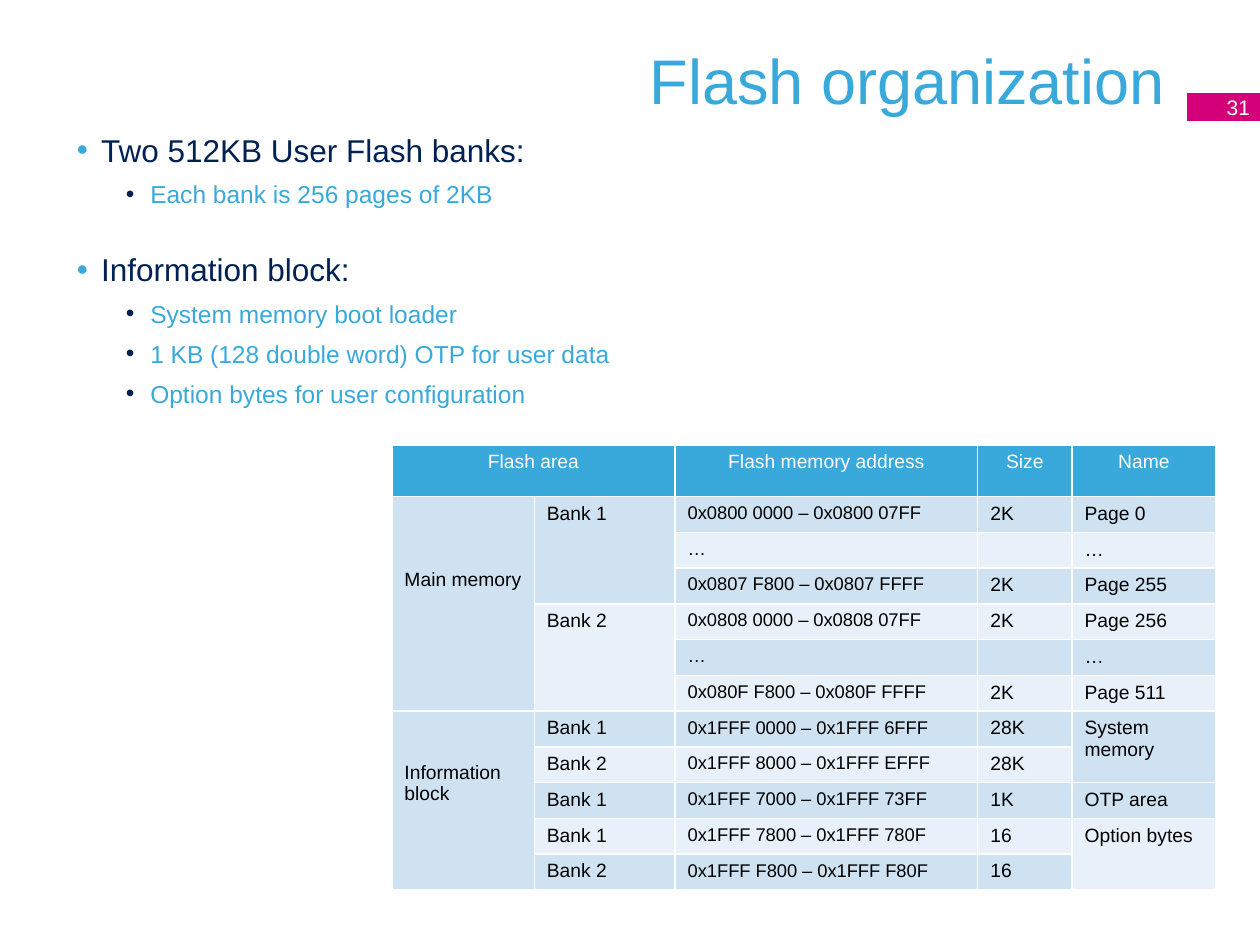
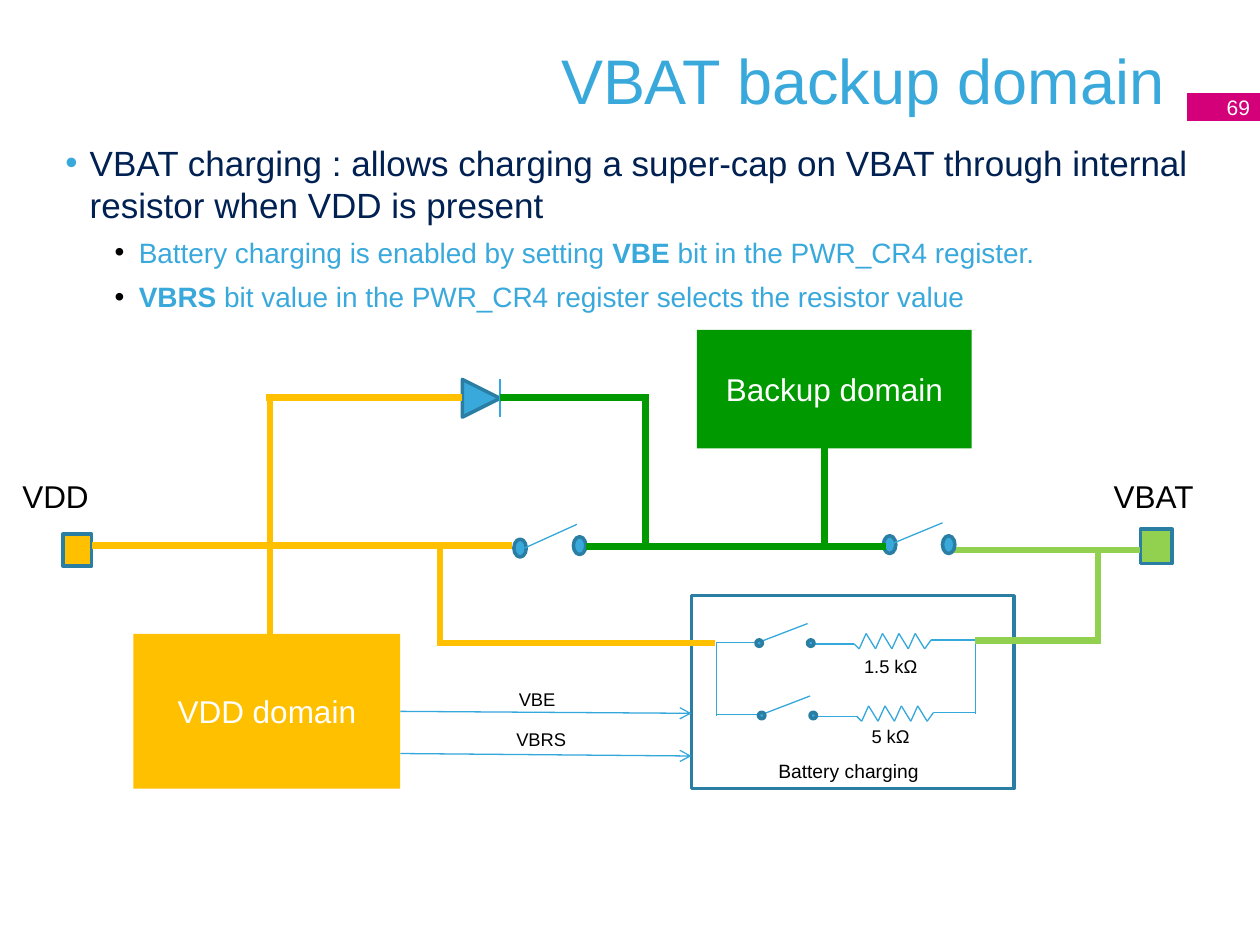
from itertools import pairwise

from pptx import Presentation
from pptx.dml.color import RGBColor
from pptx.enum.shapes import MSO_CONNECTOR, MSO_SHAPE as SHAPE
from pptx.enum.text import MSO_ANCHOR as ANCHOR, PP_ALIGN as ALIGN
from pptx.oxml.ns import qn
from pptx.util import Cm, Pt
from lxml.etree import SubElement

SKY = RGBColor(0x39, 0xA9, 0xDC)
THIN_BLUE = RGBColor(0x34, 0xA7, 0xDB)
STEEL = RGBColor(0x2A, 0x7D, 0xA3)
NAVY = RGBColor(0x00, 0x21, 0x52)
MAGENTA = RGBColor(0xD4, 0x00, 0x7A)
YELLOW = RGBColor(0xFF, 0xC0, 0x00)
GREEN = RGBColor(0x00, 0x99, 0x00)
LIME = RGBColor(0x92, 0xD0, 0x50)
BAND_DARK = RGBColor(0xCE, 0xE2, 0xF2)
BAND_LIGHT = RGBColor(0xE8, 0xF1, 0xF9)
BLACK = RGBColor(0, 0, 0)
WHITE = RGBColor(0xFF, 0xFF, 0xFF)

FONT = "Arial"
TITLE_ONLY = 5
WIRE = 0.13

FLASH_MAP = [
    ["Flash area", "", "Flash memory address", "Size", "Name"],
    ["Main memory", "Bank 1", "0x0800 0000 – 0x0800 07FF", "2K", "Page 0"],
    ["", "", "…", "", "…"],
    ["", "", "0x0807 F800 – 0x0807 FFFF", "2K", "Page 255"],
    ["", "Bank 2", "0x0808 0000 – 0x0808 07FF", "2K", "Page 256"],
    ["", "", "…", "", "…"],
    ["", "", "0x080F F800 – 0x080F FFFF", "2K", "Page 511"],
    ["Information\nblock", "Bank 1", "0x1FFF 0000 – 0x1FFF 6FFF", "28K", "System\nmemory"],
    ["", "Bank 2", "0x1FFF 8000 – 0x1FFF EFFF", "28K", ""],
    ["", "Bank 1", "0x1FFF 7000 – 0x1FFF 73FF", "1K", "OTP area"],
    ["", "Bank 1", "0x1FFF 7800 – 0x1FFF 780F", "16", "Option bytes"],
    ["", "Bank 2", "0x1FFF F800 – 0x1FFF F80F", "16", ""],
]
# first row, first column, last row, last column
FLASH_SPANS = [(0, 0, 0, 1), (1, 0, 6, 0), (1, 1, 3, 1), (4, 1, 6, 1),
               (7, 0, 11, 0), (7, 4, 8, 4), (10, 4, 11, 4)]
ADDRESS_COLUMN = 2


def set_font(paragraph, size, color, align=None):
    font = paragraph.font
    font.name, font.size, font.bold = FONT, Pt(size), False
    font.color.rgb = color
    paragraph.alignment = align


def add_color(parent, tag, color):
    SubElement(SubElement(parent, qn(tag)), qn("a:srgbClr")).set("val", str(color))


class Deck:
    def __init__(self):
        self.prs = Presentation()
        self.prs.slide_width, self.prs.slide_height = Cm(25.4), Cm(19.05)
        self.slide = None

    def new_slide(self, title, number):
        self.slide = self.prs.slides.add_slide(self.prs.slide_layouts[TITLE_ONLY])
        heading = self.slide.shapes.title
        heading.left, heading.top, heading.width, heading.height = map(Cm, (1.3, 0, 22.43, 3.18))
        heading.text_frame.text = title
        heading.text_frame.vertical_anchor = ANCHOR.MIDDLE
        set_font(heading.text_frame.paragraphs[0], 36, SKY, ALIGN.RIGHT)
        self.shape(23.93, 1.88, 1.52, 0.56, MAGENTA, text=number, size=12, align=ALIGN.RIGHT)

    def shape(self, x, y, width, height, fill=None, outline=None, kind=SHAPE.RECTANGLE,
              text="", size=18, align=ALIGN.CENTER):
        item = self.slide.shapes.add_shape(kind, *map(Cm, (x, y, width, height)))
        item.shadow.inherit = False
        if fill is None:
            item.fill.background()
        else:
            item.fill.solid()
            item.fill.fore_color.rgb = fill
        if outline is None:
            item.line.fill.background()
        else:
            item.line.color.rgb = outline
            item.line.width = Pt(2)
        if text:
            item.text_frame.text = text
            item.text_frame.vertical_anchor = ANCHOR.MIDDLE
            set_font(item.text_frame.paragraphs[0], size, WHITE, align)
        return item

    def wires(self, color, *bars):
        for bar in bars:
            self.shape(*bar, color, kind=SHAPE.FLOWCHART_PROCESS)

    def label(self, text, x, y, width, height, size=10.5):
        frame = self.slide.shapes.add_textbox(*map(Cm, (x, y, width, height))).text_frame
        frame.word_wrap = False
        frame.text = text
        set_font(frame.paragraphs[0], size, BLACK)

    def line(self, start, end, arrow=False):
        link = self.slide.shapes.add_connector(MSO_CONNECTOR.STRAIGHT, *map(Cm, start + end))
        link.line.color.rgb = THIN_BLUE
        link.line.width = Pt(0.75)
        properties = link._element.spPr
        if arrow:
            SubElement(properties.find(qn("a:ln")), qn("a:tailEnd")).set("type", "arrow")
        SubElement(properties, qn("a:effectLst"))
        return link

    def polyline(self, *points):
        for start, end in pairwise(points):
            self.line(start, end)

    def bullets(self, x, y, width, height, items, sizes, sub_bullet):
        """Items are (level, text); text between asterisks is bold."""
        frame = self.slide.shapes.add_textbox(*map(Cm, (x, y, width, height))).text_frame
        frame.word_wrap = True
        for index, (level, text) in enumerate(items):
            paragraph = frame.add_paragraph() if index else frame.paragraphs[0]
            paragraph.level = level
            paragraph.space_before = Pt(18 if index and level == 0 else 0)
            paragraph.space_after = Pt(6)
            properties = paragraph._p.get_or_add_pPr()
            properties.set("marL", str(Cm((0.49, 1.48)[level])))
            properties.set("indent", str(Cm(-0.49)))
            add_color(properties, "a:buClr", (SKY, sub_bullet)[level])
            SubElement(properties, qn("a:buFont")).set("typeface", FONT)
            SubElement(properties, qn("a:buChar")).set("char", "•")
            set_font(paragraph, sizes[level], (NAVY, SKY)[level])
            for part, words in enumerate(text.split("*")):
                if words:
                    run = paragraph.add_run()
                    run.text = words
                    if part % 2:
                        run.font.bold = True

    def cell(self, cell, text, fill, size, color, align):
        properties = cell._tc.get_or_add_tcPr()
        for side in "LRTB":
            border = SubElement(properties, qn(f"a:ln{side}"), w=str(Pt(1)))
            add_color(border, "a:solidFill", WHITE)
        cell.fill.solid()
        cell.fill.fore_color.rgb = fill
        cell.text = text
        for paragraph in cell.text_frame.paragraphs:
            set_font(paragraph, size, color, align)
            if not text:
                paragraph._p.get_or_add_endParaRPr().set("sz", str(int(size * 100)))

    def table(self, x, y, column_widths, row_heights, rows, spans):
        size = Cm(sum(column_widths)), Cm(sum(row_heights))
        grid = self.slide.shapes.add_table(len(rows), len(column_widths), Cm(x), Cm(y), *size).table
        grid.first_row = grid.horz_banding = False
        for column, width in zip(grid.columns, column_widths):
            column.width = Cm(width)
        for row, height in zip(grid.rows, row_heights):
            row.height = Cm(height)
        for r, row in enumerate(rows):
            for c, text in enumerate(row):
                if r == 0:
                    style = SKY, 11, WHITE, ALIGN.CENTER
                else:
                    band = BAND_DARK if r % 2 else BAND_LIGHT
                    style = band, 10.5 if c == ADDRESS_COLUMN else 11, BLACK, ALIGN.LEFT
                self.cell(grid.cell(r, c), text, *style)
        for top, left, bottom, right in spans:
            grid.cell(top, left).merge(grid.cell(bottom, right))
        return grid


def flash_slide(deck):
    deck.new_slide("Flash organization", "31")
    deck.bullets(1.3, 2.51, 22.86, 5.89, [
        (0, "Two 512KB User Flash banks:"),
        (1, "Each bank is 256 pages of 2KB"),
        (0, "Information block:"),
        (1, "System memory boot loader"),
        (1, "1 KB (128 double word) OTP for user data"),
        (1, "Option bytes for user configuration"),
    ], sizes=(18, 14), sub_bullet=NAVY)
    areas = deck.table(7.9, 8.97, [2.87, 2.84, 6.1, 1.9, 2.9],
                       [1.04, 0.72, 0.69, 0.72] + [0.69] * 8, FLASH_MAP, FLASH_SPANS)
    areas.cell(1, 0).margin_top = Cm(1.47)
    areas.cell(7, 0).margin_top = Cm(1.02)


def charging_branch(deck, dx, dy):
    """Switch and resistor in series between the two rails of the charger."""
    def at(x, y):
        return x + dx, y + dy

    deck.line((14.45, 12.95 + dy), at(15.29, 12.95))
    deck.line(at(15.29, 12.95), at(16.28, 12.57))
    teeth = [at(17.32 + 0.33 * tooth + shift, y)
             for tooth in range(4) for shift, y in ((0, 13.08), (0.14, 12.77))]
    deck.polyline(at(16.36, 12.98), at(17.22, 12.98), *teeth,
                  at(18.64, 13.08), at(18.77, 12.9), (19.66, 12.9 + dy))
    for x in (15.24, 16.28):
        deck.shape(*at(x, 12.9), 0.13, 0.13, SKY, STEEL, SHAPE.OVAL)


def backup_slide(deck):
    deck.new_slide("VBAT backup domain", "69")
    deck.bullets(1.07, 2.72, 23.93, 3.94, [
        (0, "VBAT charging : allows charging a super-cap on VBAT through internal "
            "resistor when VDD is present"),
        (1, "Battery charging is enabled by setting *VBE* bit in the PWR_CR4 register."),
        (1, "*VBRS* bit value in the PWR_CR4 register selects the resistor value"),
    ], sizes=(20, 16), sub_bullet=BLACK)

    vdd_domain = deck.shape(2.69, 12.78, 5.38, 3.12, YELLOW, text="VDD domain")
    deck.shape(1.27, 10.77, 0.58, 0.64, YELLOW, STEEL)
    deck.shape(22.99, 10.67, 0.64, 0.69, LIME, STEEL)

    deck.shape(13.94, 12.01, 6.5, 3.89, outline=STEEL)
    for shift in ((0, 0), (0.05, 1.46)):
        charging_branch(deck, *shift)
    deck.line((14.45, 12.95), (14.45, 14.43))
    deck.line((19.66, 12.9), (19.66, 14.4))

    deck.wires(LIME, (19.23, 11.02, 3.76, WIRE), (19.66, 12.85, 2.54, WIRE),
               (22.07, 11.15, WIRE, 1.7))
    deck.wires(YELLOW, (1.85, 10.92, 8.48, 0.15), (5.38, 11, WIRE, 1.78),
               (8.81, 11.05, WIRE, 1.88), (8.81, 12.9, 5.61, WIRE))
    for x, y in ((10.36, 10.87), (11.56, 10.82), (17.81, 10.8), (19, 10.8)):
        deck.shape(x, y, 0.25, 0.36, SKY, STEEL, SHAPE.FLOWCHART_CONNECTOR)
    deck.line((10.57, 11.05), (11.63, 10.57))
    deck.line((18.01, 10.95), (19, 10.54))

    deck.wires(GREEN, (11.81, 10.95, 6.05, WIRE), (16.56, 9.02, WIRE, 2.03))
    deck.shape(14.05, 6.65, 5.54, 2.39, GREEN, text="Backup domain")
    diode = deck.shape(9.32, 7.65, 0.76, 0.76, SKY, STEEL, SHAPE.ISOSCELES_TRIANGLE)
    diode.rotation = 90
    deck.line((10.08, 8.41), (10.08, 7.65))
    deck.wires(YELLOW, (5.38, 8.03, WIRE, 2.95), (5.36, 7.95, 3.96, WIRE))
    deck.wires(GREEN, (12.95, 7.95, WIRE, 3), (10.08, 7.95, 3, WIRE))

    enable = deck.line((8.07, 14.34), (13.94, 14.38), arrow=True)
    enable.begin_connect(vdd_domain, 3)
    deck.line((8.07, 15.19), (13.94, 15.24), arrow=True)

    deck.label("VDD", 0.2, 9.5, 1.85, 1.02, 18)
    deck.label("VBAT", 22.2, 9.5, 2.13, 1.02, 18)
    deck.label("1.5 kΩ", 17.17, 13.08, 1.6, 0.71)
    deck.label("5 kΩ", 17.32, 14.5, 1.3, 0.71)
    deck.label("Battery charging", 15.44, 15.19, 3.35, 0.74, 11)
    deck.label("VBE", 10.21, 13.74, 1.3, 0.74)
    deck.label("VBRS", 10.16, 14.55, 1.52, 0.71)


def main():
    deck = Deck()
    flash_slide(deck)
    backup_slide(deck)
    deck.prs.save("out.pptx")


if __name__ == "__main__":
    main()
